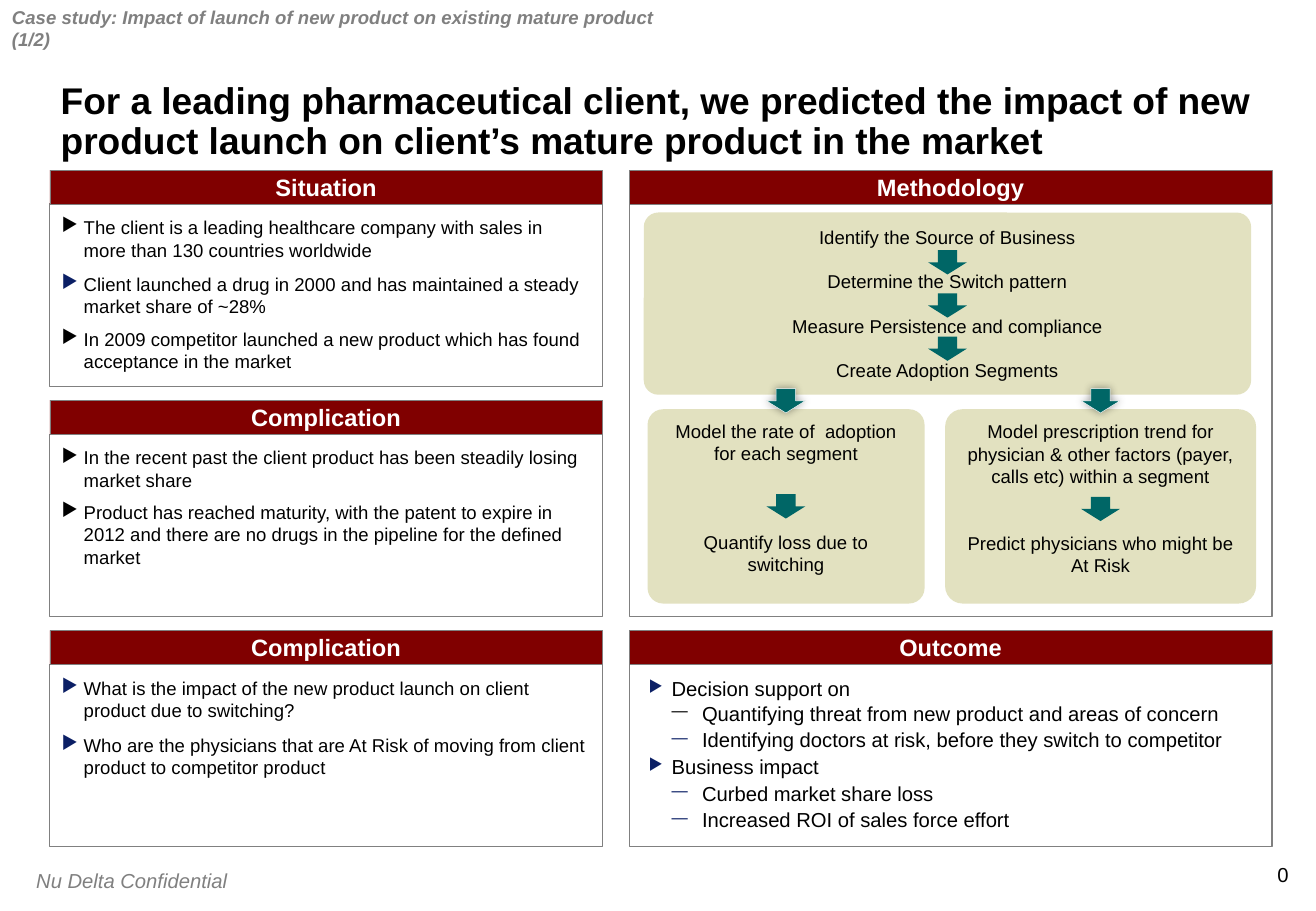
"""Build a case study slide with panels, a method flow and outcomes."""
from dataclasses import dataclass, replace
from typing import Optional

from lxml.etree import SubElement
from pptx import Presentation
from pptx.dml.color import RGBColor
from pptx.enum.shapes import MSO_SHAPE
from pptx.enum.text import MSO_ANCHOR, PP_ALIGN
from pptx.oxml.ns import qn
from pptx.util import Pt

BLACK, WHITE, GREY = "000000", "FFFFFF", "808080"
MAROON, NAVY, TEAL, SAND = "800000", "0B1F65", "006666", "E2E1C0"
LEFT_X, LEFT_W, RIGHT_X, RIGHT_W = 29.5, 327.6, 373, 380.9
TOP, PITCH, HEAD, BODY = 100.8, 136.44, 20.2, 108
ROW = 13.2


@dataclass(frozen=True)
class Box:
    """Place of an item in points."""
    x: float
    y: float
    w: float
    h: float


@dataclass(frozen=True)
class Font:
    """Look of a run."""
    size: float
    tint: str = BLACK
    bold: bool = False
    slant: bool = False


@dataclass(frozen=True)
class Line:
    """One paragraph with its spacing and bullet."""
    text: str
    before: float = 0
    after: float = 0
    mark: str = ""
    tint: str = BLACK
    indent: float = 0
    hang: float = 0
    scale: int = 100
    level: int = 0


@dataclass(frozen=True)
class Panel:
    """A headed frame with bullets."""
    title: str
    x: float
    row: int
    w: float
    font: Font
    lines: tuple[Line, ...] = ()
    h: float = BODY


@dataclass(frozen=True)
class Card:
    """A rounded step box."""
    box: Box
    round: float
    lines: tuple[Line, ...]
    anchor: MSO_ANCHOR = MSO_ANCHOR.TOP


@dataclass(frozen=True)
class Arrow:
    """A down arrow, raised or flat."""
    x: float
    y: float
    raised: bool = False


@dataclass(frozen=True)
class Label:
    """A free line of text."""
    box: Box
    text: str
    font: Font
    inset: tuple[float, float] = (7.2, 3.6)
    align: PP_ALIGN = PP_ALIGN.LEFT
    anchor: MSO_ANCHOR = MSO_ANCHOR.TOP
    wrap: bool = True
    space: float = 1


def paint(code: str) -> RGBColor:
    """Turn a hex string into a colour."""
    return RGBColor.from_string(code)


def write(shape, lines: tuple[Line, ...], font: Font, align: PP_ALIGN,
          anchor: MSO_ANCHOR, inset: tuple[float, float] = (7.2, 3.6),
          wrap: bool = True, space: float = 1) -> None:
    """Fill a shape with paragraphs."""
    frame = shape.text_frame
    frame.word_wrap = wrap
    frame.vertical_anchor = anchor
    frame.margin_left = frame.margin_right = Pt(inset[0])
    frame.margin_top = frame.margin_bottom = Pt(inset[1])
    for num, line in enumerate(lines):
        para = frame.paragraphs[0] if num == 0 else frame.add_paragraph()
        para.alignment = align
        para.level = line.level
        para.line_spacing = space
        para.space_before, para.space_after = Pt(line.before), Pt(line.after)
        if line.mark:
            props = para._p.get_or_add_pPr()
            props.set("marL", str(Pt(line.indent)))
            props.set("indent", str(Pt(-line.hang)))
            SubElement(SubElement(props, qn("a:buClr")), qn("a:srgbClr"), val=line.tint)
            SubElement(props, qn("a:buSzPct"), val=str(line.scale * 1000))
            SubElement(props, qn("a:buChar"), char=line.mark)
        run = para.add_run()
        run.text = line.text
        run.font.name, run.font.size = "Arial", Pt(font.size)
        run.font.bold, run.font.italic = font.bold, font.slant
        run.font.color.rgb = paint(font.tint)


def draw(slide, kind: MSO_SHAPE, box: Box, fill: str,
         edge: Optional[str] = None, width: float = 0.75):
    """Add a flat filled shape."""
    shape = slide.shapes.add_shape(kind, Pt(box.x), Pt(box.y), Pt(box.w), Pt(box.h))
    shape.shadow.inherit = False
    shape.fill.solid()
    shape.fill.fore_color.rgb = paint(fill)
    if edge:
        shape.line.color.rgb = paint(edge)
        shape.line.width = Pt(width)
    else:
        shape.line.fill.background()
    return shape


def add_panel(slide, panel: Panel) -> None:
    """Draw a header bar and its frame."""
    top = TOP + panel.row * PITCH
    body = draw(slide, MSO_SHAPE.RECTANGLE,
                Box(panel.x, top + HEAD, panel.w, panel.h), WHITE, GREY)
    write(body, panel.lines, panel.font, PP_ALIGN.LEFT, MSO_ANCHOR.TOP, (7.2, 7.2))
    head = draw(slide, MSO_SHAPE.RECTANGLE, Box(panel.x, top, panel.w, HEAD),
                MAROON, GREY, 0.25)
    write(head, (Line(panel.title),), Font(14, WHITE, True), PP_ALIGN.CENTER,
          MSO_ANCHOR.MIDDLE, wrap=False)


def add_card(slide, card: Card) -> None:
    """Draw a rounded step box."""
    shape = draw(slide, MSO_SHAPE.ROUNDED_RECTANGLE, card.box, SAND)
    shape.adjustments[0] = card.round
    write(shape, card.lines, Font(11), PP_ALIGN.CENTER, card.anchor)


def add_arrow(slide, arrow: Arrow) -> None:
    """Draw a down arrow, with a soft shadow if raised."""
    shape = draw(slide, MSO_SHAPE.DOWN_ARROW, Box(arrow.x, arrow.y, 23, 14.4), TEAL,
                 WHITE if arrow.raised else None, 0.25)
    if arrow.raised:
        effect = shape._element.spPr.find(qn("a:effectLst"))
        shade = SubElement(effect, qn("a:outerShdw"), blurRad=str(Pt(5)), dist="0",
                           dir="0", algn="ctr", rotWithShape="0")
        tone = SubElement(shade, qn("a:srgbClr"), val=BLACK)
        SubElement(tone, qn("a:alpha"), val="40000")


def add_label(slide, label: Label) -> None:
    """Add a text box."""
    box = label.box
    shape = slide.shapes.add_textbox(Pt(box.x), Pt(box.y), Pt(box.w), Pt(box.h))
    write(shape, (Line(label.text),), label.font, label.align, label.anchor,
          label.inset, label.wrap, label.space)


def point(text: str, tint: str = BLACK) -> Line:
    """Make a bullet for the left panels."""
    return Line(text, 1.3 if tint == NAVY else 0, 6, "▶", tint, 13, 13)


def topic(text: str, before: float = 0) -> Line:
    """Make a main outcome bullet."""
    return Line(text, before, 0, "▶", NAVY, 18, 13.7, 80)


def detail(text: str) -> Line:
    """Make a dashed outcome bullet."""
    return Line(text, 1.4, 0, "—", NAVY, 36, 18, 80)


PANELS = (
    Panel("Situation", LEFT_X, 0, LEFT_W, Font(11), (
        point("The client is a leading healthcare company with sales in more than 130 countries worldwide"),
        point("Client launched a drug in 2000 and has maintained a steady market share of ~28%", NAVY),
        point("In 2009 competitor launched a new product which has found acceptance in the market"))),
    Panel("Complication", LEFT_X, 1, LEFT_W, Font(11), (
        point("In the recent past the client product has been steadily losing market share"),
        point("Product has reached maturity, with the patent to expire in 2012 and there are no drugs in the pipeline for the defined market"))),
    Panel("Complication", LEFT_X, 2, LEFT_W, Font(11), (
        point("What is the impact of the new product launch on client product due to switching?", NAVY),
        point("Who are the physicians that are At Risk of moving from client product to competitor product", NAVY))),
    Panel("Methodology", RIGHT_X, 0, RIGHT_W, Font(11), h=PITCH + BODY),
    Panel("Outcome", RIGHT_X, 2, RIGHT_W, Font(12), (
        topic("Decision support on"),
        replace(detail("Quantifying threat from new product and areas of concern"),
                before=0, tint=BLACK, level=1),
        replace(detail("Identifying doctors at risk, before they switch to competitor"), level=1),
        topic("Business impact", 1.4),
        detail("Curbed market share loss"),
        detail("Increased ROI of sales force effort"))),
)
STEPS = ("Identify the Source of Business", "Determine the Switch pattern",
         "Measure Persistence and compliance", "Create Adoption Segments")
CARDS = (
    Card(Box(381.6, 126, 360, 108), 0.08,
         tuple(Line(step, ROW if num else 0) for num, step in enumerate(STEPS)),
         MSO_ANCHOR.MIDDLE),
    Card(Box(383.8, 242.6, 164.2, 115.2), 0.08, (
        Line("Model the rate of  adoption for each segment"),
        Line("Quantify loss due to switching", 3 * ROW))),
    Card(Box(560.2, 242.6, 184.3, 115.2), 0.09, (
        Line("Model prescription trend for physician & other factors (payer, calls etc) within a segment"),
        Line("Predict physicians who might be At Risk", 2 * ROW))),
)
ARROWS = (
    *(Arrow(550.1, 148.3 + 25.6 * num) for num in range(3)),
    Arrow(454.3, 293), Arrow(640.8, 294.5),
    Arrow(454.3, 230.4, True), Arrow(640.8, 230.4, True),
)
LABELS = (
    Label(Box(0, 0, 417, 21), "Case study: Impact of launch of new product on existing mature product (1/2)",
          Font(11, GREY, True, True)),
    Label(Box(36, 30.2, 717, 66.3), "For a leading pharmaceutical client, we predicted the impact of new product launch on client’s mature product in the market",
          Font(22, bold=True), (0, 0), anchor=MSO_ANCHOR.BOTTOM, space=0.9),
    Label(Box(14.4, 511.2, 144, 21.6), "Nu Delta Confidential", Font(12, GREY, slant=True)),
    Label(Box(748.8, 511.2, 15, 14.4), "0", Font(12), (0, 0), PP_ALIGN.RIGHT),
)


def main() -> None:
    """Build and save the slide."""
    deck = Presentation()
    deck.slide_width, deck.slide_height = Pt(780), Pt(540)
    slide = deck.slides.add_slide(deck.slide_layouts[6])
    for items, add in ((PANELS, add_panel), (CARDS, add_card),
                       (ARROWS, add_arrow), (LABELS, add_label)):
        for item in items:
            add(slide, item)
    deck.save("out.pptx")


if __name__ == "__main__":
    main()
